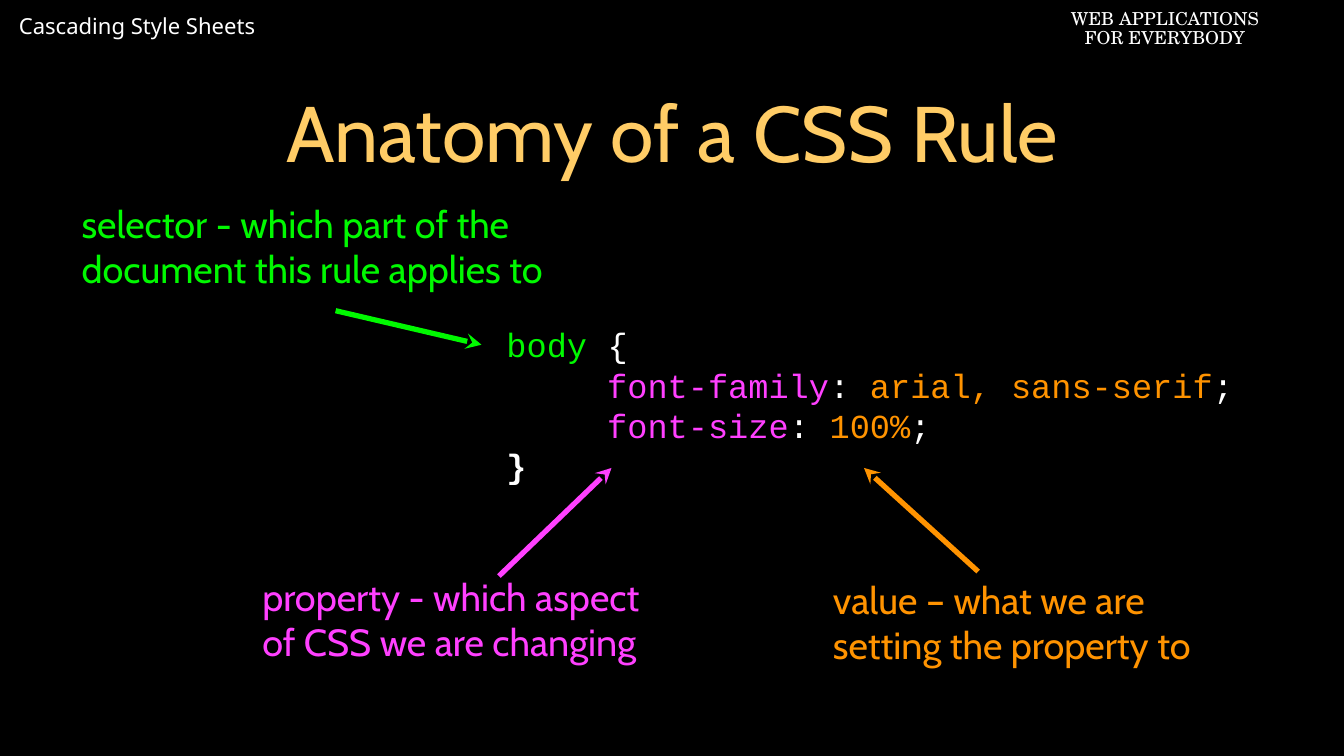
from lxml import etree
from pptx import Presentation
from pptx import util as u
from pptx.dml.color import RGBColor
from pptx.enum import shapes, text
from pptx.oxml.ns import qn

PX = 9144  # 100 px to the inch

THEME = {
    "background": "000000", "plain": "FFFFFF", "title": "FFCC66",
    "selector": "00F900", "property": "FF40FF", "value": "FF9300",
    "header_size": 21, "course_size": 17, "title_size": 75,
    "code_size": 32, "label_size": 36, "arrow_width": 5,
}


def color(name):
    return RGBColor.from_string(THEME[name])


def fill_box(box, area, lines, font, size, inset, **para_format):
    """Place a box and write its lines, each a list of (text, colour name, bold)."""
    box.left, box.top, box.width, box.height = (v * PX for v in area)
    frame = box.text_frame
    side, edge = (v * PX for v in inset)
    frame_format = {
        "word_wrap": True, "auto_size": text.MSO_AUTO_SIZE.NONE,
        "margin_left": side, "margin_right": side,
        "margin_top": edge, "margin_bottom": edge,
    }
    for name, value in frame_format.items():
        setattr(frame, name, value)
    for index, line in enumerate(lines):
        para = frame.add_paragraph() if index else frame.paragraphs[0]
        for name, value in para_format.items():
            setattr(para, name, value)
        for words, color_name, bold in line:
            span = para.add_run()
            span.text = words
            span_format = {"name": font, "size": u.Pt(THEME[size]), "bold": bold}
            for name, value in span_format.items():
                setattr(span.font, name, value)
            span.font.color.rgb = color(color_name)
    return frame


deck = Presentation()
deck.slide_width, deck.slide_height = 1778 * PX, 1000 * PX
page = deck.slides.add_slide(deck.slide_layouts[5])
page.background.fill.solid()
page.background.fill.fore_color.rgb = color("background")

# Header
header = page.shapes.add_textbox(0, 0, 0, 0)
fill_box(header, (7, 7, 532, 53), [[("Cascading Style Sheets", "plain", False)]],
         "Noto Sans", "header_size", (18, 9))
course = page.shapes.add_textbox(0, 0, 0, 0)
course_lines = [[(words, "plain", False)] for words in ("WEB APPLICATIONS", "FOR EVERYBODY")]
fill_box(course, (1339, 8, 404, 61), course_lines, "TeX Gyre Schola", "course_size",
         (10, 5), alignment=text.PP_ALIGN.CENTER, line_spacing=0.9)

# Title
title = fill_box(page.shapes.title, (165, 71, 1448, 205),
                 [[("Anatomy of a CSS Rule", "title", False)]],
                 "Cabin", "title_size", (10, 10), alignment=text.PP_ALIGN.CENTER)
title.vertical_anchor = text.MSO_ANCHOR.MIDDLE

# CSS rule
rule_lines = [
    [("      body ", "selector", False), ("{", "plain", False)],
    [("           font-family", "property", False), (": ", "plain", False),
     ("arial, sans-serif", "value", False), (";", "plain", False)],
    [("           font-size", "property", False), (": ", "plain", False),
     ("100%", "value", False), (";", "plain", False)],
    [("      }", "plain", True)],
]
rule = fill_box(page.shapes.add_textbox(0, 0, 0, 0), (504, 423, 1156, 225), rule_lines,
                "Courier New", "code_size", (6, 6))
rule.vertical_anchor = text.MSO_ANCHOR.MIDDLE

# Labels, each with an arrow whose tip touches its part of the rule
parts = [
    ("property", "property - which aspect of CSS we are changing",
     (341, 723, 548, 191), (809, 619, 660, 762)),
    ("selector", "selector - which part of the document this rule applies to",
     (102, 260, 708, 131), (637, 456, 444, 411)),
    ("value", "value – what we are setting the property to",
     (1096, 727, 514, 191), (1143, 619, 1294, 756)),
]
for part, words, area, tip_to_label in parts:
    label = fill_box(page.shapes.add_textbox(0, 0, 0, 0), area, [[(words, part, False)]],
                     "Cabin", "label_size", (6, 6))
    label.vertical_anchor = text.MSO_ANCHOR.MIDDLE
    arrow = page.shapes.add_connector(shapes.MSO_CONNECTOR.STRAIGHT,
                                      *(v * PX for v in tip_to_label))
    arrow.line.color.rgb = color(part)
    arrow.line.width = u.Pt(THEME["arrow_width"])
    etree.SubElement(arrow.line._get_or_add_ln(), qn("a:headEnd"), type="stealth")
    etree.SubElement(arrow._element.spPr, qn("a:effectLst"))

deck.save("out.pptx")
